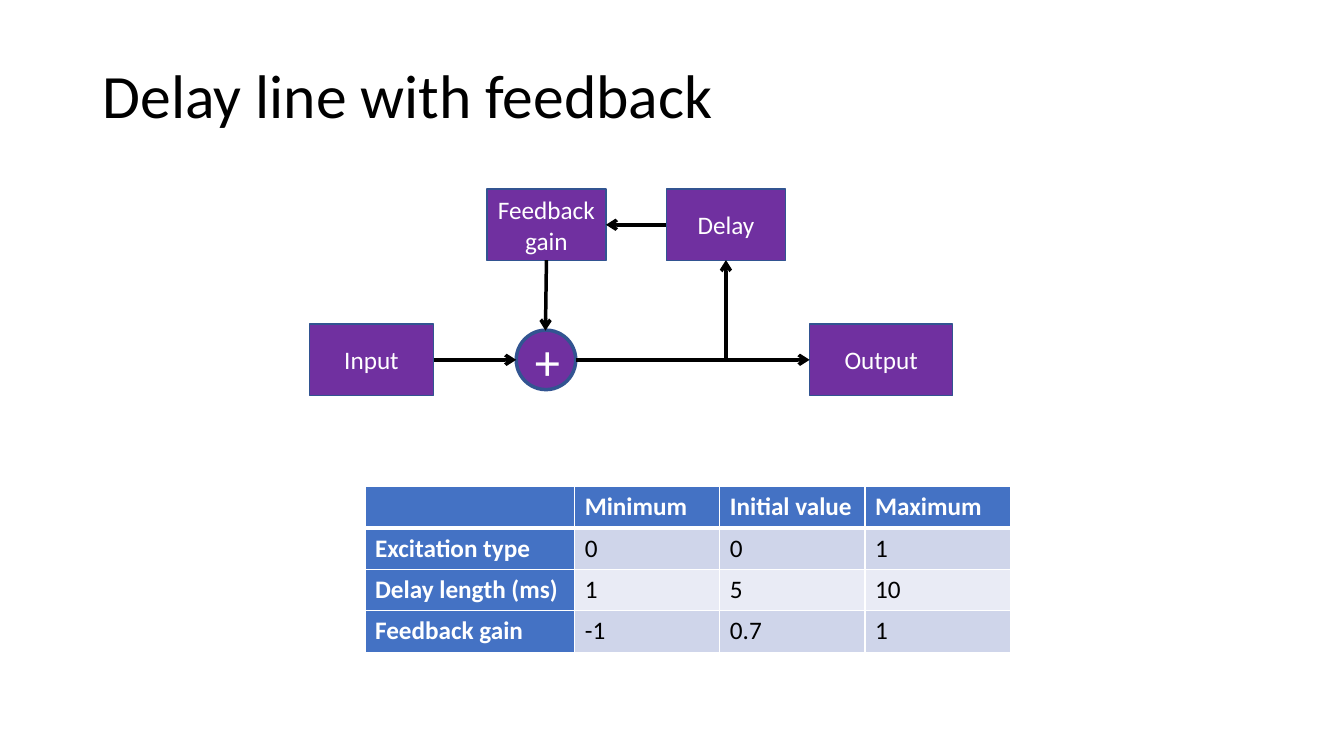
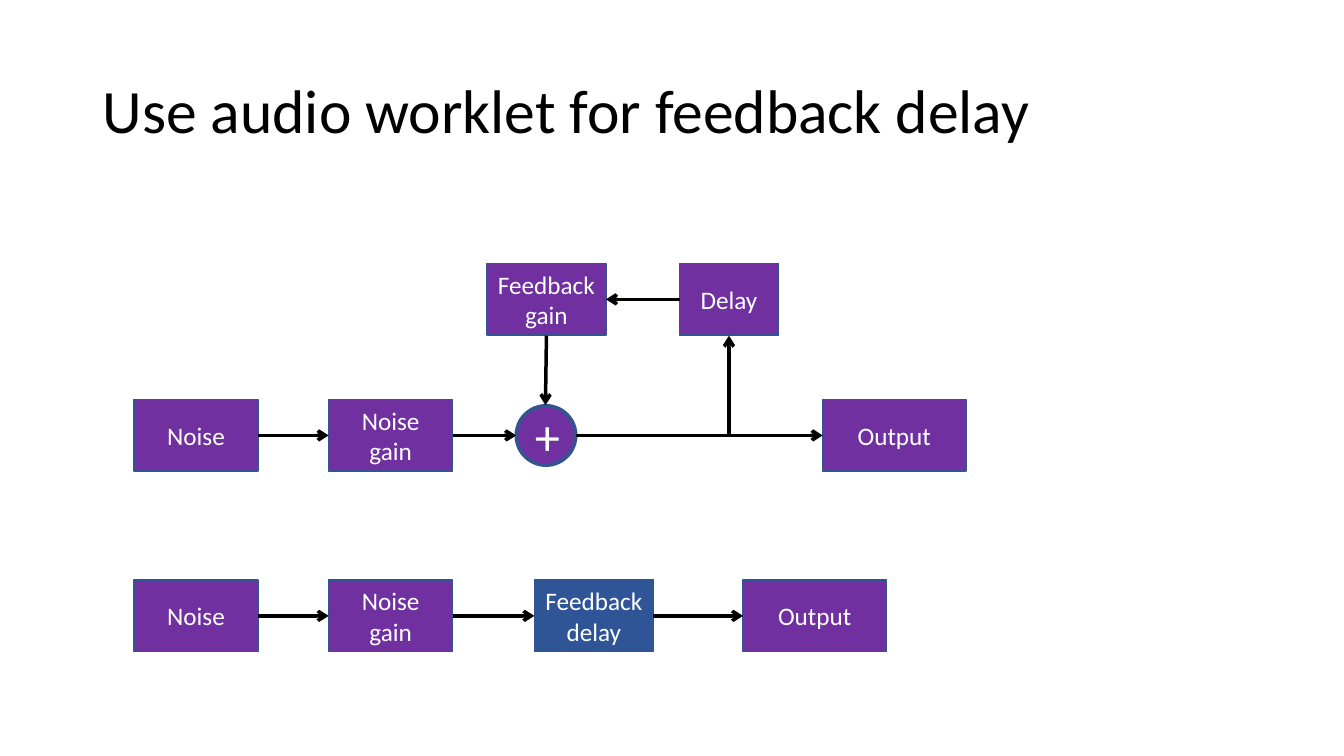
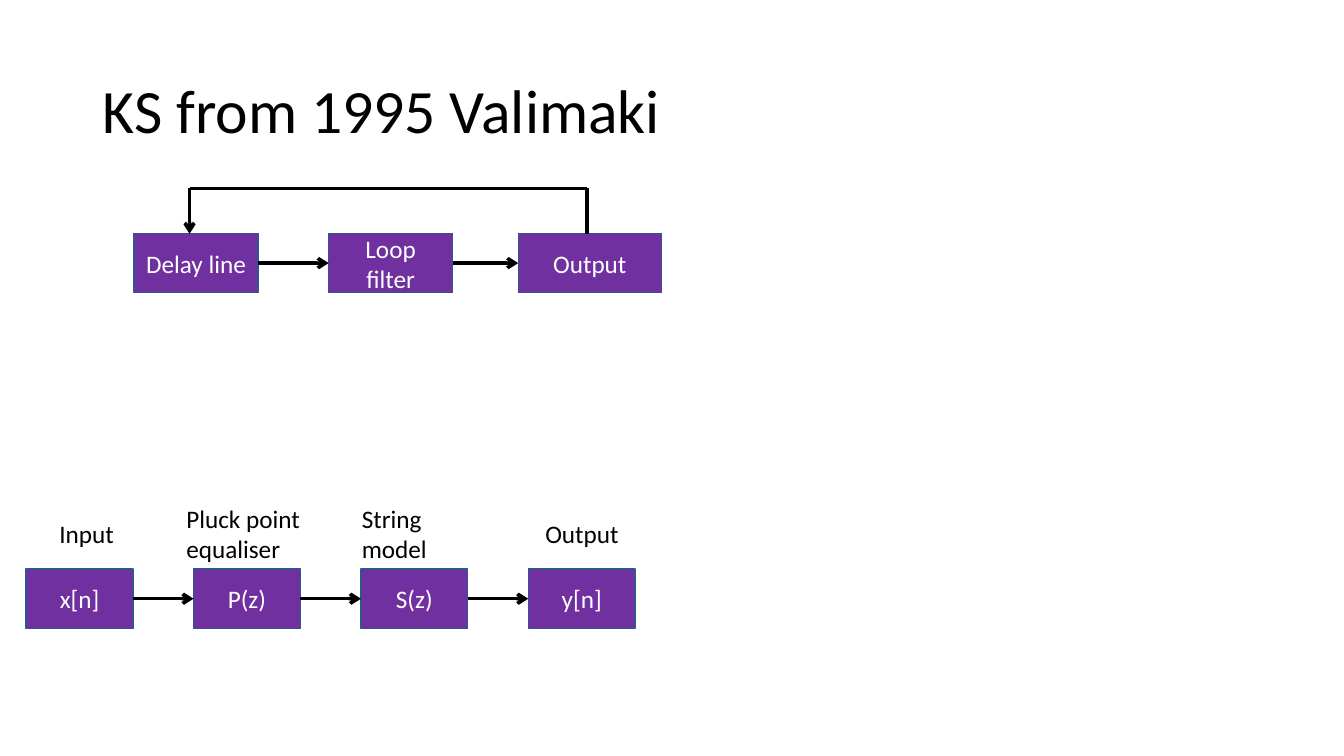
"""Build three slides of signal-flow diagrams for delay lines."""
from lxml import etree
from pptx import Presentation
from pptx import util as u
from pptx.dml.color import RGBColor
from pptx.enum import shapes, text
from pptx.oxml import ns

PX = 9144
FONT = "Calibri"
HUES = {"ink": "000000", "paper": "FFFFFF", "block": "7030A0", "accent": "2F5597",
        "edge": "325491", "head": "4472C4", "odd": "CFD5EA", "even": "E9EBF5"}
RGB = {name: RGBColor.from_string(code) for name, code in HUES.items()}
PLUS = "+"
SPECIAL = "Feedback\vdelay"


def write(frame, words, size=18, hue="ink", bold=False, align="LEFT", anchor="TOP", lead=None):
    frame.word_wrap = True
    frame.vertical_anchor = getattr(text.MSO_ANCHOR, anchor)
    frame.text = words
    for para in frame.paragraphs:
        para.alignment = getattr(text.PP_ALIGN, align)
        para.line_spacing = lead
        for run in para.runs:
            run.font.name = FONT
            run.font.size = u.Pt(size)
            run.font.bold = bold
            run.font.color.rgb = RGB[hue]


def link(slide, *ends, arrow=True):
    wire = slide.shapes.add_connector(shapes.MSO_CONNECTOR.STRAIGHT, *(int(e * PX) for e in ends))
    wire.line.color.rgb = RGB["ink"]
    wire.line.width = u.Pt(2.5)
    props = wire.element.spPr
    if arrow:
        etree.SubElement(props.find(ns.qn("a:ln")), ns.qn("a:tailEnd"), type="arrow")
    etree.SubElement(props, ns.qn("a:effectLst"))


PAGES = [
    {"title": "Delay line with feedback", "deep": 116,
     "rows": [(357, 71, [("Input", 307, 123), (PLUS, 512, 59), ("Output", 803, 142)]),
              (223, 71, [("Delay", 661, 118), ("Feedback\vgain", 483, 118)])],
     "links": [(720, 357, 720, 258), (542, 258, 541, 328)]},
    {"title": "Use audio worklet for feedback delay", "deep": 145,
     "rows": [(432, 71, [("Noise", 133, 123), ("Noise gain", 326, 123), (PLUS, 512, 59),
                         ("Output", 816, 142)]),
              (297, 71, [("Delay", 674, 98), ("Feedback\vgain", 483, 118)]),
              (611, 71, [("Noise", 133, 123), ("Noise gain", 326, 123), (SPECIAL, 530, 118),
                         ("Output", 737, 142)])],
     "links": [(723, 432, 723, 333), (542, 333, 541, 402)]},
    {"title": "KS from 1995 Valimaki", "deep": 145,
     "rows": [(261, 59, [("Delay line", 133, 123), ("Loop filter", 326, 123),
                         ("Output", 514, 142)]),
              (594, 59, [(name, 26 + 166 * i, 106)
                         for i, name in enumerate(["x[n]", "P(z)", "S(z)", "y[n]"])])],
     "links": [(188, 187, 188, 232)],
     "plain": [(582, 232, 582, 187), (582, 187, 188, 187)],
     "notes": [("Input", 49, 509, 118, 40), ("Pluck point\nequaliser", 175, 494, 140, 71),
               ("String\nmodel", 349, 494, 85, 71), ("Output", 531, 509, 118, 40)]},
]
GRID = [["", "Minimum", "Initial value", "Maximum"],
        ["Excitation type", "0", "0", "1"],
        ["Delay length (ms)", "1", "5", "10"],
        ["Feedback gain", "-1", "0.7", "1"]]
COLS = [208, 144, 144, 144]
ROW = 41

deck = Presentation()
deck.slide_width, deck.slide_height = 1333 * PX, 750 * PX

for page in PAGES:
    slide = deck.slides.add_slide(deck.slide_layouts[6])
    title = slide.shapes.add_textbox(92 * PX, 40 * PX, 1150 * PX, page["deep"] * PX)
    write(title.text_frame, page["title"], size=44, anchor="MIDDLE", lead=0.9)
    for mid, high, blocks in page["rows"]:
        for name, left, wide in blocks:
            ring = name == PLUS
            tall = wide if ring else high
            kind = shapes.MSO_SHAPE.OVAL if ring else shapes.MSO_SHAPE.RECTANGLE
            block = slide.shapes.add_shape(kind, left * PX, int((mid - tall / 2) * PX),
                                           wide * PX, tall * PX)
            block.shadow.inherit = False
            block.fill.solid()
            block.fill.fore_color.rgb = RGB["accent" if name == SPECIAL else "block"]
            block.line.color.rgb = RGB["edge"]
            block.line.width = u.Pt(2.5 if ring else 1)
            write(block.text_frame, name, size=36 if ring else 18, hue="paper",
                  align="CENTER", anchor="MIDDLE")
        for (_, left, wide), (_, goal, span) in zip(blocks, blocks[1:]):
            if goal > left:
                link(slide, left + wide, mid, goal, mid)
            else:
                link(slide, left, mid, goal + span, mid)
    for ends in page["links"]:
        link(slide, *ends)
    for ends in page.get("plain", []):
        link(slide, *ends, arrow=False)
    for words, *place in page.get("notes", []):
        note = slide.shapes.add_textbox(*(n * PX for n in place))
        write(note.text_frame, words)

table = deck.slides[0].shapes.add_table(len(GRID), len(COLS), 362 * PX, 483 * PX,
                                        sum(COLS) * PX, ROW * len(GRID) * PX).table
for col, wide in zip(table.columns, COLS):
    col.width = wide * PX
for r, line in enumerate(GRID):
    table.rows[r].height = ROW * PX
    for c, words in enumerate(line):
        cell = table.cell(r, c)
        head = r == 0 or c == 0
        cell.fill.solid()
        cell.fill.fore_color.rgb = RGB["head" if head else "odd" if r % 2 else "even"]
        write(cell.text_frame, words, hue="paper" if head else "ink", bold=head)
        props = cell._tc.get_or_add_tcPr()
        for i, side in enumerate("LRTB"):
            thick = (r, side) in [(0, "B"), (1, "T")]
            edge = etree.Element(ns.qn("a:ln" + side), w=str(u.Pt(3 if thick else 1)))
            fill = etree.SubElement(edge, ns.qn("a:solidFill"))
            etree.SubElement(fill, ns.qn("a:srgbClr"), val=HUES["paper"])
            props.insert(i, edge)

deck.save("out.pptx")
